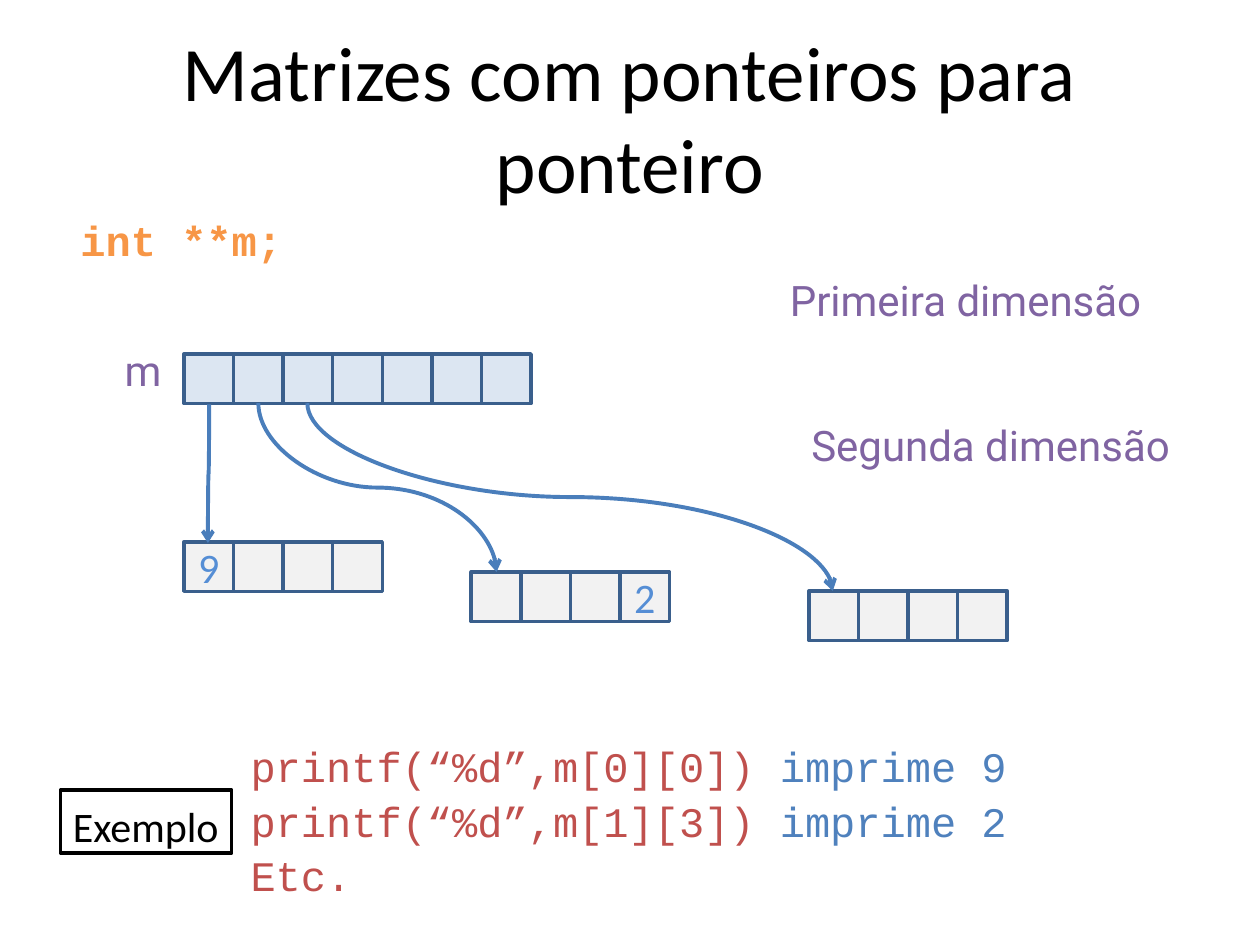
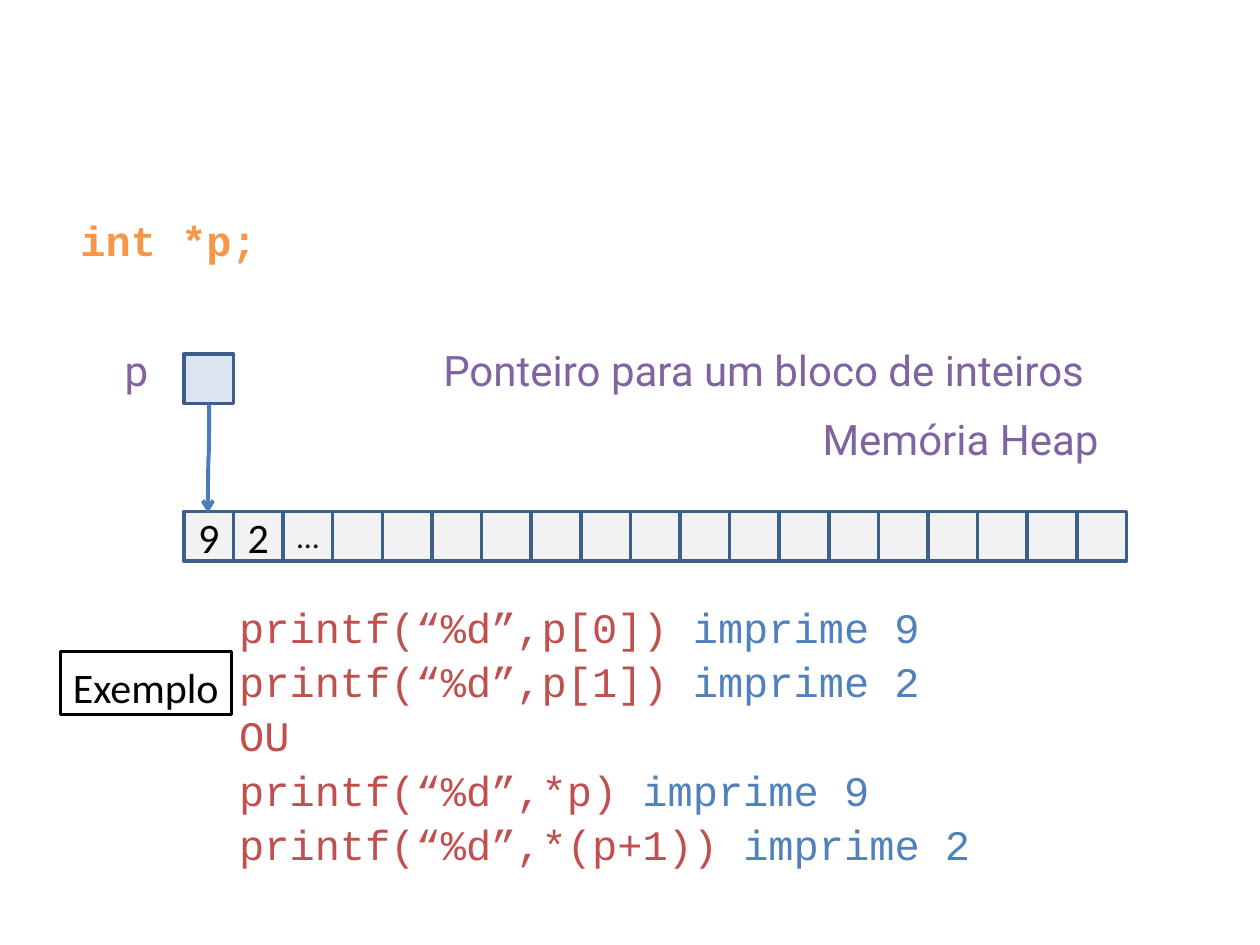
import pptx
import pptx.util
import pptx.dml.color
import pptx.enum.shapes
import pptx.enum.text
import pptx.oxml
import pptx.oxml.ns

Inches = pptx.util.Inches
Pt = pptx.util.Pt
SHAPE = pptx.enum.shapes.MSO_SHAPE
ANCHOR = pptx.enum.text.MSO_ANCHOR
ALIGN = pptx.enum.text.PP_ALIGN

HUES = {
    "black": "000000",
    "white": "FFFFFF",
    "head": "DCE6F2",
    "cell": "F2F2F2",
    "edge": "3A5F8C",
    "arrow": "4A7EBB",
    "digit": "558ED5",
    "label": "8064A2",
    "type": "F79646",
    "code": "C0504D",
    "note": "4F81BD",
}
RGB = {name: pptx.dml.color.RGBColor.from_string(hue) for name, hue in HUES.items()}
CELL = 1 / 2.54
LEFT = 1.46


def write(frame, lines, face, size=24, bold=False, space=1.08, align=ALIGN.LEFT):
    for i, line in enumerate(lines):
        para = frame.paragraphs[0] if i == 0 else frame.add_paragraph()
        para.alignment = align
        para.line_spacing = space
        for text, hue in line:
            run = para.add_run()
            run.text = text
            run.font.name = face
            run.font.size = Pt(size)
            run.font.bold = bold
            run.font.color.rgb = RGB[hue]


def block(slide, x, y, wide, high, fill, edge):
    shape = slide.shapes.add_shape(SHAPE.RECTANGLE, Inches(x), Inches(y), Inches(wide), Inches(high))
    shape.shadow.inherit = False
    shape.fill.solid()
    shape.fill.fore_color.rgb = RGB[fill]
    shape.line.color.rgb = RGB[edge]
    shape.line.width = Pt(2)
    return shape


pages = [
    {
        "title": "Matrizes com ponteiros para ponteiro",
        "rows": [
            (LEFT, 2.81, 7, "head", {}),
            (LEFT, 4.3, 4, "cell", {0: ("9", 24)}),
            (3.74, 4.54, 4, "cell", {3: ("2", 24)}),
            (6.42, 4.69, 4, "cell", {}),
        ],
        "digit": "digit",
        "type": ("int **m;", 1.8),
        "labels": [
            ("m", 0.89, 2.65, 0.52),
            ("Primeira dimensão", 6.17, 2.1, 3.43),
            ("Segunda dimensão", 6.34, 3.25, 3.51),
        ],
        "code": (1.89, 5.8, 6.2, 1.36),
        "lines": [
            [("printf(“%d”,m[0][0]) ", "code"), ("imprime 9", "note")],
            [("printf(“%d”,m[1][3]) ", "code"), ("imprime 2", "note")],
            [("Etc.", "code")],
        ],
        "tag": 6.27,
        "arrows": [(1.66, 3.21, 1.65, 4.31), (2.05, 3.2, 3.94, 4.54), (2.44, 3.2, 6.61, 4.69)],
    },
    {
        "title": None,
        "rows": [
            (LEFT, 2.81, 1, "head", {}),
            (LEFT, 4.06, 19, "cell", {0: ("9", 24), 1: ("2", 24), 2: ("...", 18)}),
        ],
        "digit": "black",
        "type": ("int *p;", 1.6),
        "labels": [
            ("p", 0.89, 2.65, 0.41),
            ("Ponteiro para um bloco de inteiros", 3.42, 2.65, 6.04),
            ("Memória Heap", 6.43, 3.2, 2.63),
        ],
        "code": (1.8, 4.69, 6, 2.23),
        "lines": [
            [("printf(“%d”,p[0]) ", "code"), ("imprime 9", "note")],
            [("printf(“%d”,p[1]) ", "code"), ("imprime 2", "note")],
            [("OU", "code")],
            [("printf(“%d”,*p) ", "code"), ("imprime 9", "note")],
            [("printf(“%d”,*(p+1)) ", "code"), ("imprime 2", "note")],
        ],
        "tag": 5.17,
        "arrows": [(1.66, 3.21, 1.65, 4.07)],
    },
]

deck = pptx.Presentation()
deck.slide_width = Inches(10)
deck.slide_height = Inches(7.5)

for page in pages:
    slide = deck.slides.add_slide(deck.slide_layouts[5 if page["title"] else 6])
    if page["title"]:
        title = slide.shapes.title
        title.left, title.top = Inches(0.5), Inches(0.3)
        title.width, title.height = Inches(9), Inches(1.25)
        title.text_frame.auto_size = pptx.enum.text.MSO_AUTO_SIZE.NONE
        title.text_frame.vertical_anchor = ANCHOR.MIDDLE
        write(title.text_frame, [[(page["title"], "black")]], "Calibri", 44, space=1.0, align=ALIGN.CENTER)

    for x, y, count, fill, marks in page["rows"]:
        for i in range(count):
            cell = block(slide, x + i * CELL, y, CELL, CELL, fill, "edge")
            if i in marks:
                text, size = marks[i]
                cell.text_frame.vertical_anchor = ANCHOR.MIDDLE
                write(cell.text_frame, [[(text, page["digit"])]], "Calibri", size, space=1.0, align=ALIGN.CENTER)

    kind, wide = page["type"]
    texts = [((0.54, 1.62, wide, 0.5), [[(kind, "type")]], "Courier New", True)]
    for text, x, y, wide in page["labels"]:
        texts.append(((x, y, wide, 0.5), [[(text, "label")]], "Roboto", False))
    texts.append((page["code"], page["lines"], "Courier New", False))
    for place, lines, face, bold in texts:
        box = slide.shapes.add_textbox(*map(Inches, place))
        box.text_frame.word_wrap = False
        write(box.text_frame, lines, face, bold=bold)

    tag = block(slide, 0.48, page["tag"], 1.36, 0.5, "white", "black")
    tag.text_frame.word_wrap = False
    tag.text_frame.vertical_anchor = ANCHOR.TOP
    write(tag.text_frame, [[("Exemplo", "black")]], "Calibri")

    for x1, y1, x2, y2 in page["arrows"]:
        midx, midy = (x1 + x2) / 2, (y1 + y2) / 2
        right = x2 > x1
        reach = (y2 - y1) / 2 * (-1 if right else 1)
        drop = abs(x2 - x1) / 2
        ends = (midx - reach, midy - drop, midx + reach, midy + drop)
        arrow = slide.shapes.add_connector(pptx.enum.shapes.MSO_CONNECTOR.CURVE, *map(Inches, ends))
        arrow.line.color.rgb = RGB["arrow"]
        arrow.line.width = Pt(2.25)
        prop = arrow.element.spPr
        prop.find(pptx.oxml.ns.qn("a:xfrm")).set("rot", str((270 if right else 90) * 60000))
        tail = pptx.oxml.parse_xml(f'<a:tailEnd {pptx.oxml.ns.nsdecls("a")} type="arrow"/>')
        prop.find(pptx.oxml.ns.qn("a:ln")).append(tail)
        prop.append(pptx.oxml.parse_xml(f'<a:effectLst {pptx.oxml.ns.nsdecls("a")}/>'))

deck.save("out.pptx")
